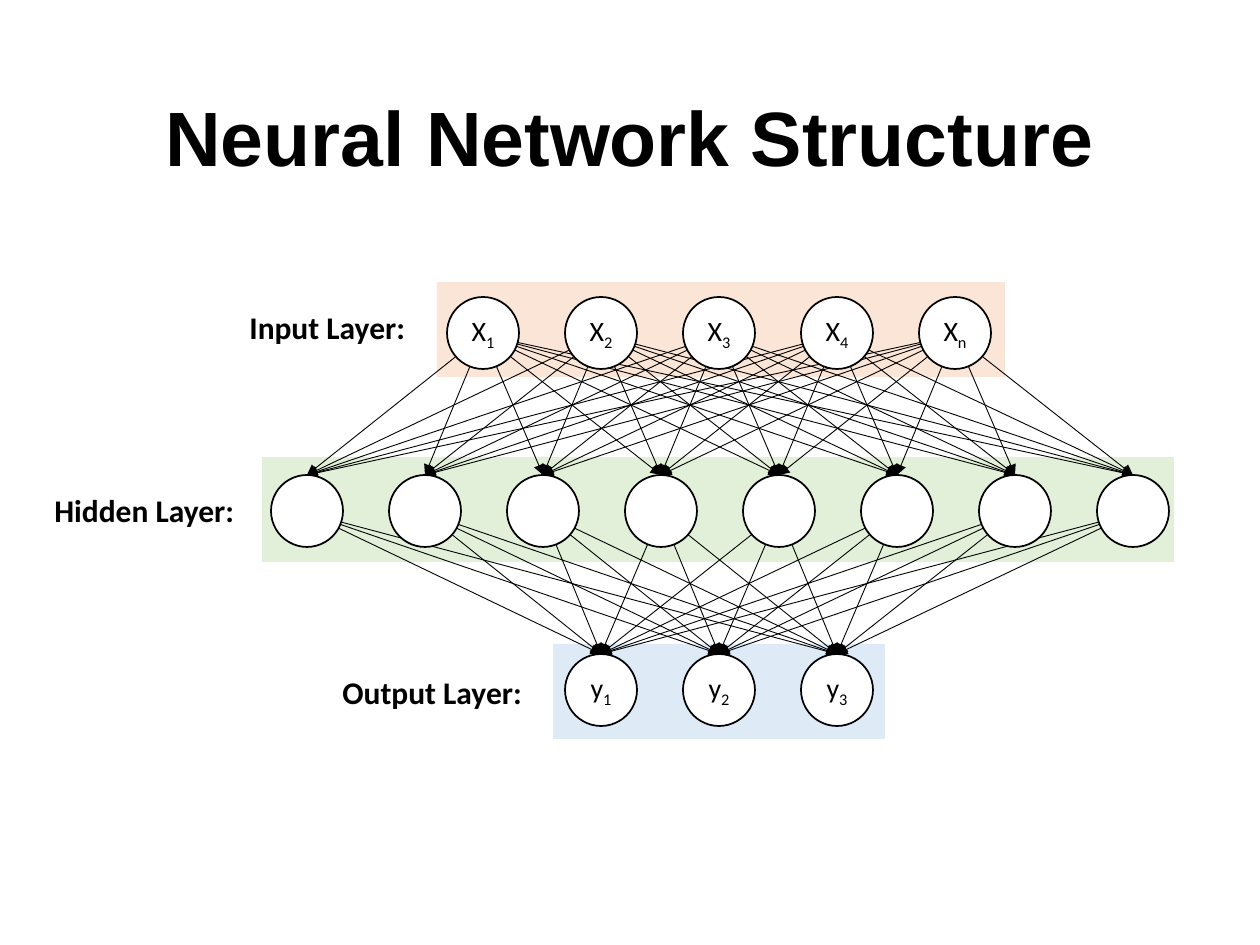
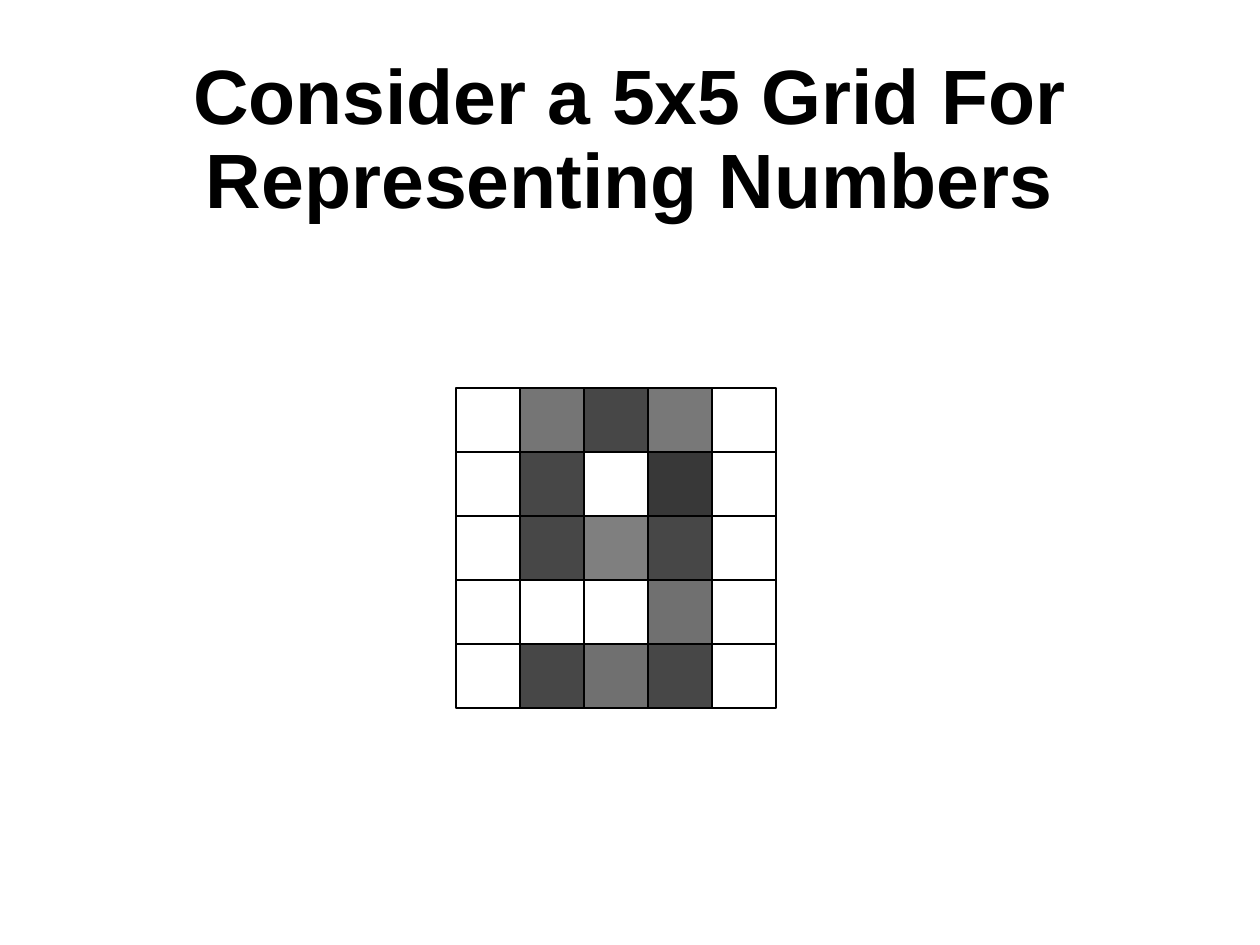
from dataclasses import dataclass
from itertools import product
from lxml.etree import SubElement
from pptx import Presentation
from pptx.dml.color import RGBColor
from pptx.enum.shapes import MSO_CONNECTOR, MSO_SHAPE
from pptx.enum.text import MSO_ANCHOR, PP_ALIGN
from pptx.oxml.ns import qn
from pptx.util import Emu, Pt


@dataclass(frozen=True)
class Theme:
    ink: str = "000000"
    paper: str = "FFFFFF"
    peach: str = "FBE5D6"
    green: str = "E2F0D9"
    blue: str = "DEEBF7"
    head: str = "Arial"
    body: str = "Calibri"
    title: int = 44
    label: int = 18
    node: int = 16
    edge: float = 1
    wire: float = 0.5


@dataclass(frozen=True)
class Layer:
    name: str
    tag: tuple    # label box
    band: tuple   # coloured band box
    fill: str
    left: int     # first node
    top: int
    marks: tuple  # (letter, subscript) for each node

    def centers(self):
        return [self.left + GAP * i + NODE // 2 for i in range(len(self.marks))]


THEME = Theme()
SCALE = 914400 / 126
WIDE, HIGH = 1260, 945
TITLE_BOX = (87, 50, 1086, 183)
NODE, GAP = 72, 118


def px(*nums):
    return [Emu(round(n * SCALE)) for n in nums]


def color(code):
    return RGBColor.from_string(code)


def style(run, font, size, bold=False):
    run.font.name, run.font.size, run.font.bold = font, Pt(size), bold
    run.font.color.rgb = color(THEME.ink)


def add_text(shapes, box, text, font, size):
    frame = shapes.add_textbox(*px(*box)).text_frame
    frame.word_wrap = True
    frame.text = text
    style(frame.paragraphs[0].runs[0], font, size, True)
    return frame


def add_title(slide, text):
    frame = add_text(slide.shapes, TITLE_BOX, text, THEME.head, THEME.title)
    frame.vertical_anchor = MSO_ANCHOR.MIDDLE
    para = frame.paragraphs[0]
    para.alignment, para.line_spacing = PP_ALIGN.CENTER, 0.9


def add_form(shapes, kind, box, fill=None, edge=None):
    form = shapes.add_shape(kind, *px(*box))
    form.shadow.inherit = False
    if fill:
        form.fill.solid()
        form.fill.fore_color.rgb = color(fill)
    else:
        form.fill.background()
    if edge:
        form.line.color.rgb = color(THEME.ink)
        form.line.width = Pt(edge)
    else:
        form.line.fill.background()
    return form


def add_arrow(shapes, start, end):
    wire = shapes.add_connector(MSO_CONNECTOR.STRAIGHT, *px(*start, *end))
    wire.line.color.rgb = color(THEME.ink)
    wire.line.width = Pt(THEME.wire)
    props = wire._element.spPr
    SubElement(props.find(qn("a:ln")), qn("a:tailEnd"), type="triangle")
    SubElement(props, qn("a:effectLst"))


def add_node(shapes, left, top, mark):
    node = add_form(shapes, MSO_SHAPE.OVAL, (left, top, NODE, NODE),
                    THEME.paper, THEME.edge)
    if not mark:
        return
    frame = node.text_frame
    frame.word_wrap = False
    frame.margin_left = frame.margin_right = 0
    frame.vertical_anchor = MSO_ANCHOR.MIDDLE
    para = frame.paragraphs[0]
    para.alignment = PP_ALIGN.CENTER
    for part in mark:
        run = para.add_run()
        run.text = part
        style(run, THEME.body, THEME.node)
    run._r.get_or_add_rPr().set("baseline", "-25000")


def add_net(slide, layers):
    shapes = slide.shapes.add_group_shape().shapes
    # Bands lie behind everything
    for layer in reversed(layers):
        add_form(shapes, MSO_SHAPE.RECTANGLE, layer.band, layer.fill)
    # Every node feeds every node of the next layer
    for upper, lower in reversed(list(zip(layers, layers[1:]))):
        mid = upper.top + NODE // 2 + 2
        for start, end in product(upper.centers(), lower.centers()):
            add_arrow(shapes, (start, mid), (end, lower.top))
    # Nodes cover the arrow starts
    for layer in layers:
        for i, mark in enumerate(layer.marks):
            add_node(shapes, layer.left + GAP * i, layer.top, mark)
    for layer in layers:
        add_text(shapes, layer.tag, layer.name, THEME.body, THEME.label)


def add_grid(slide, left, top, cell, rows):
    shapes = slide.shapes.add_group_shape().shapes
    spots = [(alpha, r, c) for r, row in enumerate(rows)
             for c, alpha in enumerate(row)]
    # Shaded cells first, open cells on top
    for alpha, r, c in sorted(spots, key=lambda spot: not spot[0]):
        box = (left + cell * c, top + cell * r, cell, cell)
        form = add_form(shapes, MSO_SHAPE.RECTANGLE, box,
                        THEME.ink if alpha else None, THEME.edge)
        if alpha:
            tint = form._element.spPr.find(qn("a:solidFill")).find(qn("a:srgbClr"))
            SubElement(tint, qn("a:alpha"), val=str(alpha * 1000))


LAYERS = (
    Layer("Input Layer:", (237, 302, 204, 50), (437, 282, 568, 95), THEME.peach,
          447, 297, tuple(("X", sub) for sub in "1234n")),
    Layer("Hidden Layer:", (42, 485, 217, 50), (262, 457, 912, 105), THEME.green,
          271, 475, (None,) * 8),
    Layer("Output Layer:", (330, 667, 217, 50), (553, 644, 332, 95), THEME.blue,
          565, 654, tuple(("y", sub) for sub in "123")),
)

# Opacity of each cell in percent; 0 is open
DIGIT = (
    (0, 54, 72, 53, 0),
    (0, 72, 0, 78, 0),
    (0, 72, 50, 72, 0),
    (0, 0, 0, 56, 0),
    (0, 72, 56, 72, 0),
)

deck = Presentation()
deck.slide_width, deck.slide_height = px(WIDE, HIGH)
blank = deck.slide_layouts[6]

# Slide 1: network
slide = deck.slides.add_slide(blank)
add_title(slide, "Neural Network Structure")
add_net(slide, LAYERS)

# Slide 2: digit grid
slide = deck.slides.add_slide(blank)
add_title(slide, "Consider a 5x5 Grid For Representing Numbers")
add_grid(slide, 456, 388, 64, DIGIT)

deck.save("out.pptx")
